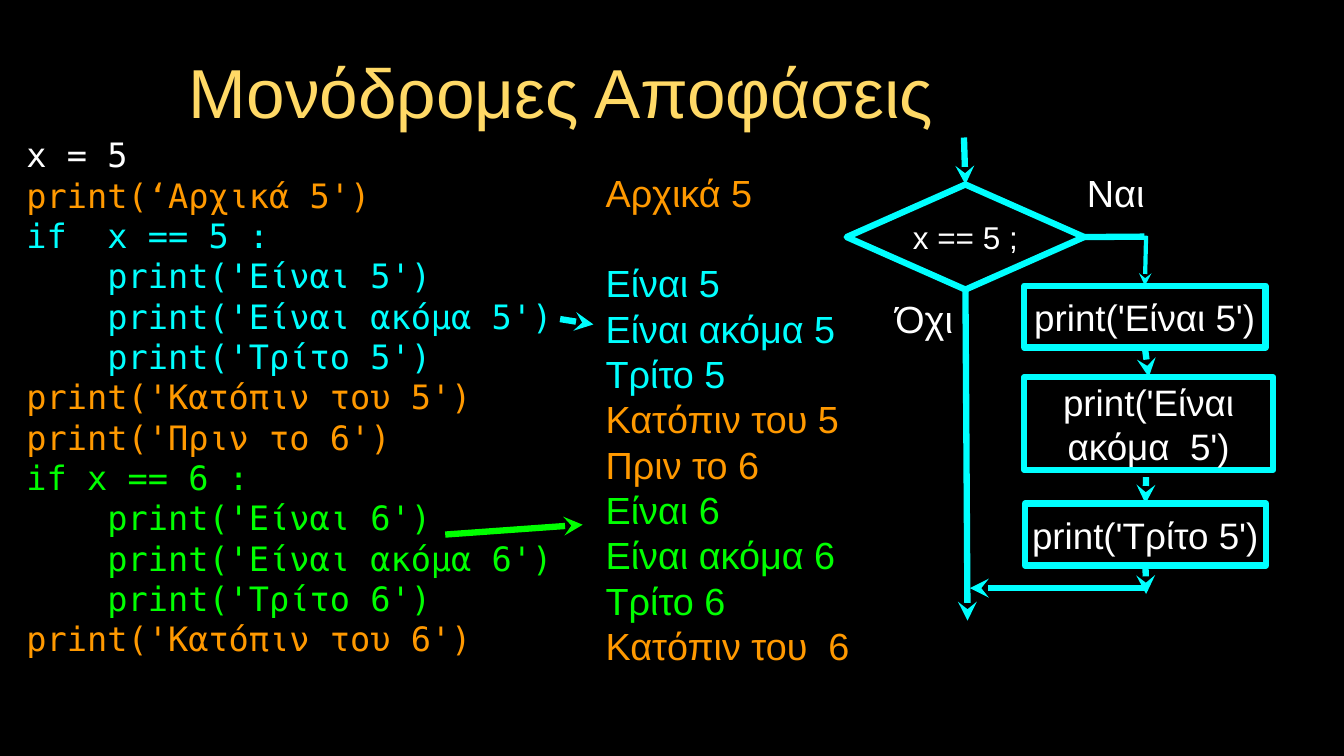
from pptx import Presentation
from pptx.dml.color import RGBColor
from pptx.enum.shapes import MSO_CONNECTOR, MSO_SHAPE
from pptx.enum.text import MSO_ANCHOR, MSO_AUTO_SIZE, PP_ALIGN
from pptx.oxml.ns import qn
from pptx.util import Cm, Pt
from lxml import etree

BLACK = RGBColor(0x00, 0x00, 0x00)
WHITE = RGBColor(0xFF, 0xFF, 0xFF)
YELLOW = RGBColor(0xFF, 0xD9, 0x66)
ORANGE = RGBColor(0xFF, 0x99, 0x00)
CYAN = RGBColor(0x00, 0xFF, 0xFF)
GREEN = RGBColor(0x00, 0xFF, 0x00)

SANS = "Arial"
MONO = "DejaVu Sans Mono"
LEFT, CENTER = PP_ALIGN.LEFT, PP_ALIGN.CENTER
MIDDLE = MSO_ANCHOR.MIDDLE
NO_FIT = MSO_AUTO_SIZE.NONE
RECTANGLE, DIAMOND = MSO_SHAPE.RECTANGLE, MSO_SHAPE.DIAMOND
STRAIGHT = MSO_CONNECTOR.STRAIGHT
TOP, BOTTOM, RIGHT = 0, 2, 3
TITLE_ONLY = 5
LINE_HEIGHT = 1.2

CODE = [
    ("x = 5", WHITE),
    ("print(‘Αρχικά 5')", ORANGE),
    ("if  x == 5 :", CYAN),
    ("    print('Είναι 5')", CYAN),
    ("    print('Είναι ακόμα 5')", CYAN),
    ("    print('Τρίτο 5')", CYAN),
    ("print('Κατόπιν του 5')", ORANGE),
    ("print('Πριν το 6')", ORANGE),
    ("if x == 6 :", GREEN),
    ("    print('Είναι 6')", GREEN),
    ("    print('Είναι ακόμα 6')", GREEN),
    ("    print('Τρίτο 6')", GREEN),
    ("print('Κατόπιν του 6')", ORANGE),
]
OUTPUT = [
    ("Αρχικά 5", ORANGE),
    ("Είναι 5", CYAN),
    ("Είναι ακόμα 5", CYAN),
    ("Τρίτο 5", CYAN),
    ("Κατόπιν του 5", ORANGE),
    ("Πριν το 6", ORANGE),
    ("Είναι 6", GREEN),
    ("Είναι ακόμα 6", GREEN),
    ("Τρίτο 6", GREEN),
    ("Κατόπιν του  6", ORANGE),
]


class SlideBuilder:
    """Places styled elements on one slide; every length is in centimetres."""

    def __init__(self, slide):
        self.slide = slide
        self.shapes = slide.shapes
        fill = slide.background.fill
        fill.solid()
        fill.fore_color.rgb = BLACK

    def set_lines(self, shape, lines, size, font=SANS, align=CENTER, inset=0):
        """Fill a shape with one paragraph per (text, colour) pair."""
        frame = shape.text_frame
        frame.word_wrap = True
        frame.auto_size = NO_FIT
        frame.vertical_anchor = MIDDLE
        frame.margin_left = frame.margin_right = Cm(inset)
        frame.margin_top = frame.margin_bottom = Cm(inset)
        for index, (text, color) in enumerate(lines):
            para = frame.add_paragraph() if index else frame.paragraphs[0]
            para.alignment = align
            para.line_spacing = Pt(size * LINE_HEIGHT)
            span = para.add_run()
            span.text = text
            span.font.name = font
            span.font.size = Pt(size)
            span.font.color.rgb = color
        return frame

    def title(self, text, left, top, width, height):
        box = self.shapes.title
        box.left, box.top = Cm(left), Cm(top)
        box.width, box.height = Cm(width), Cm(height)
        self.set_lines(box, [(text, YELLOW)], 66, inset=0.1)

    def text(self, lines, left, top, width, height, size=36, font=SANS, align=LEFT):
        box = self.shapes.add_textbox(Cm(left), Cm(top), Cm(width), Cm(height))
        return self.set_lines(box, lines, size, font, align)

    def label(self, text, left, top, width, height):
        self.text([(text, WHITE)], left, top, width, height, align=CENTER)

    def node(self, text, left, top, width, height, kind=RECTANGLE, size=35):
        shape = self.shapes.add_shape(kind, Cm(left), Cm(top), Cm(width), Cm(height))
        shape.shadow.inherit = False
        shape.fill.background()
        shape.line.color.rgb = CYAN
        shape.line.width = Pt(6)
        self.set_lines(shape, [(text, WHITE)], size)
        return shape

    def arrow(self, start, end, color=CYAN, weight=6, pointed=True):
        """Each end is an (x, y) point or a (shape, side) pair."""
        line = self.shapes.add_connector(STRAIGHT, *self.point(start), *self.point(end))
        if not isinstance(start[0], (int, float)):
            line.begin_connect(*start)
        if not isinstance(end[0], (int, float)):
            line.end_connect(*end)
        line.line.color.rgb = color
        line.line.width = Pt(weight)
        properties = line.element.spPr
        if pointed:
            etree.SubElement(properties.find(qn("a:ln")), qn("a:tailEnd"), type="stealth")
        etree.SubElement(properties, qn("a:effectLst"))

    @staticmethod
    def point(end):
        if isinstance(end[0], (int, float)):
            return Cm(end[0]), Cm(end[1])
        return end[0].left, end[0].top


def main():
    deck = Presentation()
    deck.slide_width, deck.slide_height = Cm(45.16), Cm(25.4)
    page = SlideBuilder(deck.slides.add_slide(deck.slide_layouts[TITLE_ONLY]))

    page.title("Μονόδρομες Αποφάσεις", 5.64, 1.57, 26.44, 2.97)
    page.text(CODE, 0.89, 4.29, 17.93, 18.06, size=32, font=MONO)
    output = page.text(OUTPUT, 20.35, 5.79, 8.31, 16.56)
    output.paragraphs[1].space_before = Pt(36 * LINE_HEIGHT)

    decision = page.node("x == 5 ;", 28.45, 6.2, 7.98, 3.53, DIAMOND, 30)
    first = page.node("print('Είναι 5')", 34.42, 9.6, 8.1, 2.08)
    second = page.node("print('Είναι ακόμα  5')", 34.42, 12.67, 8.36, 3.12)
    third = page.node("print('Τρίτο 5')", 34.44, 16.92, 8.1, 2.08)
    page.label("Ναι", 35.94, 5.61, 3.1, 1.73)
    page.label("Όχι", 30.05, 9.83, 2.01, 1.73)

    # From code to output
    page.arrow((18.82, 10.72), (19.94, 10.9))
    page.arrow((14.96, 17.96), (19.58, 17.63), GREEN)

    # Flow chart
    page.arrow((32.39, 4.62), (decision, TOP))
    page.arrow((decision, BOTTOM), (32.51, 20.85))
    page.arrow((decision, RIGHT), (38.45, 7.95), pointed=False)
    page.arrow((38.51, 7.92), (first, TOP), weight=4)
    page.arrow((first, BOTTOM), (second, TOP))
    page.arrow((38.51, 16.03), (third, TOP))
    page.arrow((third, BOTTOM), (38.51, 19.96))
    page.arrow((38.56, 19.76), (32.59, 19.76))

    deck.save("out.pptx")


if __name__ == "__main__":
    main()
